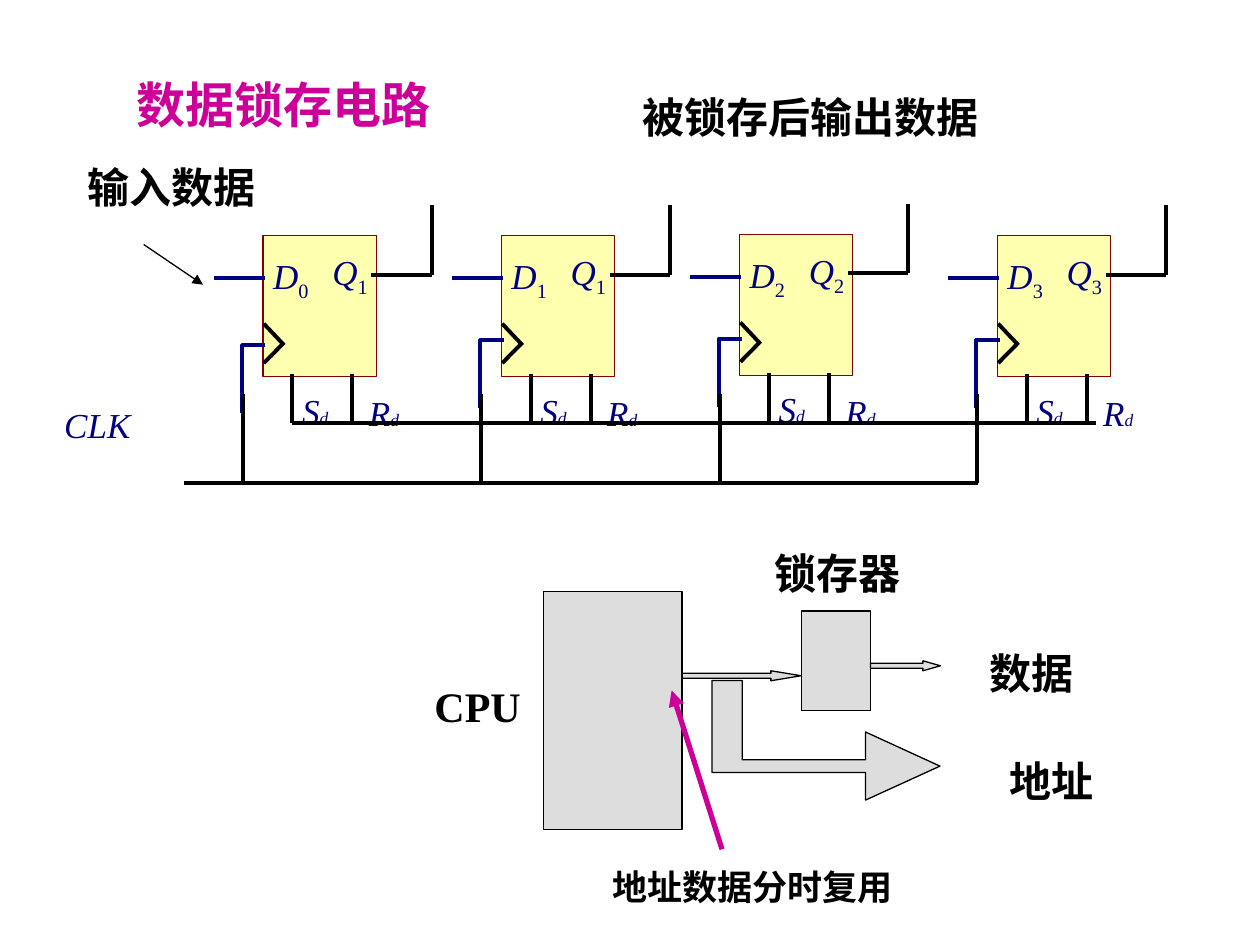
from dataclasses import dataclass

from lxml import etree
from pptx import Presentation
from pptx import util as u
from pptx.dml.color import RGBColor
from pptx.enum import shapes, text
from pptx.oxml import ns

Pt = u.Pt
BLACK = RGBColor(0x00, 0x00, 0x00)
NAVY = RGBColor(0x00, 0x00, 0x80)
PINK = RGBColor(0xCC, 0x00, 0x99)
CREAM = RGBColor(0xFF, 0xFF, 0xB0)
MAROON = RGBColor(0x80, 0x00, 0x00)
GREY = RGBColor(0xDD, 0xDD, 0xDD)
FACE = "Times New Roman"
SLACK = 3
Point = tuple[float, float]


@dataclass
class Latch:
    x: float
    y: float
    d: str
    q: str
    clock: float = 59.8


@dataclass
class Title:
    words: str
    x: float
    y: float
    w: float
    h: float = 36
    size: float = 24
    color: RGBColor = BLACK


@dataclass
class Block:
    kind: shapes.MSO_SHAPE
    x: float
    y: float
    w: float
    h: float
    head: float = 0


def style(shape, fill: RGBColor | None, line: RGBColor, width: float) -> None:
    shape.shadow.inherit = False
    if fill is None:
        shape.fill.background()
    else:
        shape.fill.solid()
        shape.fill.fore_color.rgb = fill
    shape.line.color.rgb = line
    shape.line.width = Pt(width)


def draw_box(slide, box: Block, fill: RGBColor, line: RGBColor, width: float) -> None:
    shape = slide.shapes.add_shape(box.kind, Pt(box.x), Pt(box.y), Pt(box.w), Pt(box.h))
    if box.head:
        shape.adjustments[0] = 0.5
        shape.adjustments[1] = box.head
    style(shape, fill, line, width)


def draw_path(slide, points: list[Point], fill: RGBColor | None,
              line: RGBColor, width: float) -> None:
    first, *rest = [(Pt(x), Pt(y)) for x, y in points]
    pen = slide.shapes.build_freeform(*first)
    pen.add_line_segments(rest, close=fill is not None)
    style(pen.convert_to_shape(), fill, line, width)


def draw_line(slide, start: Point, end: Point, color: RGBColor = BLACK,
              width: float = 2.25, arrow: bool = False) -> None:
    wire = slide.shapes.add_connector(
        shapes.MSO_CONNECTOR.STRAIGHT, *[Pt(v) for v in (*start, *end)])
    wire.line.color.rgb = color
    wire.line.width = Pt(width)
    if arrow:
        tail = etree.SubElement(wire.line._get_or_add_ln(), ns.qn("a:tailEnd"))
        tail.set("type", "triangle")
    etree.SubElement(wire._element.spPr, ns.qn("a:effectLst"))


def add_text(slide, x: float, y: float, w: float, h: float, words: str,
             size: float, color: RGBColor, inset: Point = (0, 0)):
    box = slide.shapes.add_textbox(Pt(x), Pt(y), Pt(w + SLACK), Pt(h))
    frame = box.text_frame
    frame.word_wrap = True
    frame.auto_size = text.MSO_AUTO_SIZE.NONE
    frame.margin_left = frame.margin_right = Pt(inset[0])
    frame.margin_top = frame.margin_bottom = Pt(inset[1])
    para = frame.paragraphs[0]
    para.add_run().text = words
    para.font.name = FACE
    para.font.size = Pt(size)
    para.font.color.rgb = color
    return para


def draw_title(slide, item: Title) -> None:
    para = add_text(slide, item.x, item.y, item.w, item.h, item.words,
                    item.size, item.color, (7.2, 3.6))
    para.font.bold = True


def draw_sign(slide, x: float, y: float, w: float, h: float, words: str):
    para = add_text(slide, x, y, w, h, words, 20, NAVY)
    para.font.italic = True
    return para


def draw_latch(slide, latch: Latch) -> None:
    x, y = latch.x, latch.y
    draw_box(slide, Block(shapes.MSO_SHAPE.RECTANGLE, x, y, 64.8, 80.6), CREAM, MAROON, 0)
    draw_line(slide, (x + 0.9, y + 24.5), (x - 28.1, y + 24.5), NAVY)
    top = y + latch.clock
    draw_path(slide, [(x + 1.4, top), (x - 12, top), (x - 12, top + 38.9)], None, NAVY, 2.25)
    for name, sub, dx, dy in (("D", latch.d, 5.8, 10.8), ("Q", latch.q, 39.6, 8.6)):
        run = draw_sign(slide, x + dx, y + dy, 20.2, 27.4, name).add_run()
        run.text = sub
        run.font.italic = False
        run.font._element.set("baseline", "-25000")
    draw_line(slide, (x + 0.5, y + 50.4), (x + 12, y + 62.6))
    draw_line(slide, (x + 12, y + 61.2), (x + 0.5, y + 72.9))
    for dx in (16.8, 51.1):
        draw_line(slide, (x + dx, y + 79.2), (x + dx, y + 107.3))
    draw_line(slide, (x + 61.9, y + 22.3), (x + 96.5, y + 22.3))
    draw_line(slide, (x + 96.5, y + 22.3), (x + 96.5, y - 17.3))
    for name, dx, dy, w in (("S", 22.3, 87.8, 15.1), ("R", 60.5, 89.3, 17.3)):
        run = draw_sign(slide, x + dx, y + dy, w, 23.8, name).add_run()
        run.text = "d"
        run.font.size = Pt(10)


LATCHES = [
    Latch(150.3, 134.6, "0", "1", 62.6),
    Latch(286.5, 134.6, "1", "1"),
    Latch(422.6, 133.9, "2", "2"),
    Latch(569.9, 134.6, "3", "3"),
]
TITLES = [
    Title("数据锁存电路", 71.1, 38.9, 182.2, 41, 28, PINK),
    Title("输入数据", 42.7, 88.6, 110.2),
    Title("被锁存后输出数据", 360, 49, 205.9),
    Title("地址数据分时复用", 342.7, 491, 174.2, 31.7, 20),
    Title("CPU", 241.2, 385.2, 63.4),
    Title("数据", 558.5, 366.5, 61.9),
    Title("地址", 569.7, 428.4, 61.9),
    Title("锁存器", 435.6, 309.6, 86.4),
]
BLOCKS = [
    Block(shapes.MSO_SHAPE.RECTANGLE, 310.4, 337.8, 79.4, 136.1),
    Block(shapes.MSO_SHAPE.RECTANGLE, 457.9, 349.2, 39.6, 56.9),
    Block(shapes.MSO_SHAPE.RIGHT_ARROW, 389.8, 383.3, 68, 5.7, 3.03),
    Block(shapes.MSO_SHAPE.RIGHT_ARROW, 497.5, 377.6, 39.9, 5.7, 1.76),
]
ROUTE = [(537.1, 437.8), (494.6, 418.3), (494.6, 434.2), (424.1, 434.2), (424.1, 388.8),
         (406.8, 388.8), (406.8, 441.4), (494.6, 441.4), (494.6, 457.2)]


def main() -> None:
    deck = Presentation()
    deck.slide_width, deck.slide_height = Pt(720), Pt(540)
    slide = deck.slides.add_slide(deck.slide_layouts[6])
    for latch in LATCHES:
        draw_latch(slide, latch)
        draw_line(slide, (latch.x - 11.4, 225), (latch.x - 11.4, 276))
    draw_sign(slide, 36.7, 230.4, 38.2, 23.8, "CLK")
    draw_line(slide, (167, 241.9), (626.4, 241.9))
    draw_line(slide, (105.1, 276), (558.7, 276))
    draw_line(slide, (82.1, 139.7), (116, 162.7), BLACK, 0.75, True)
    for block in BLOCKS:
        draw_box(slide, block, GREY, BLACK, 0.75)
    draw_path(slide, ROUTE, GREY, BLACK, 0.75)
    draw_line(slide, (412.6, 485.3), (383.8, 394.6), PINK, 3, True)
    for item in TITLES:
        draw_title(slide, item)
    deck.save("out.pptx")


if __name__ == "__main__":
    main()
